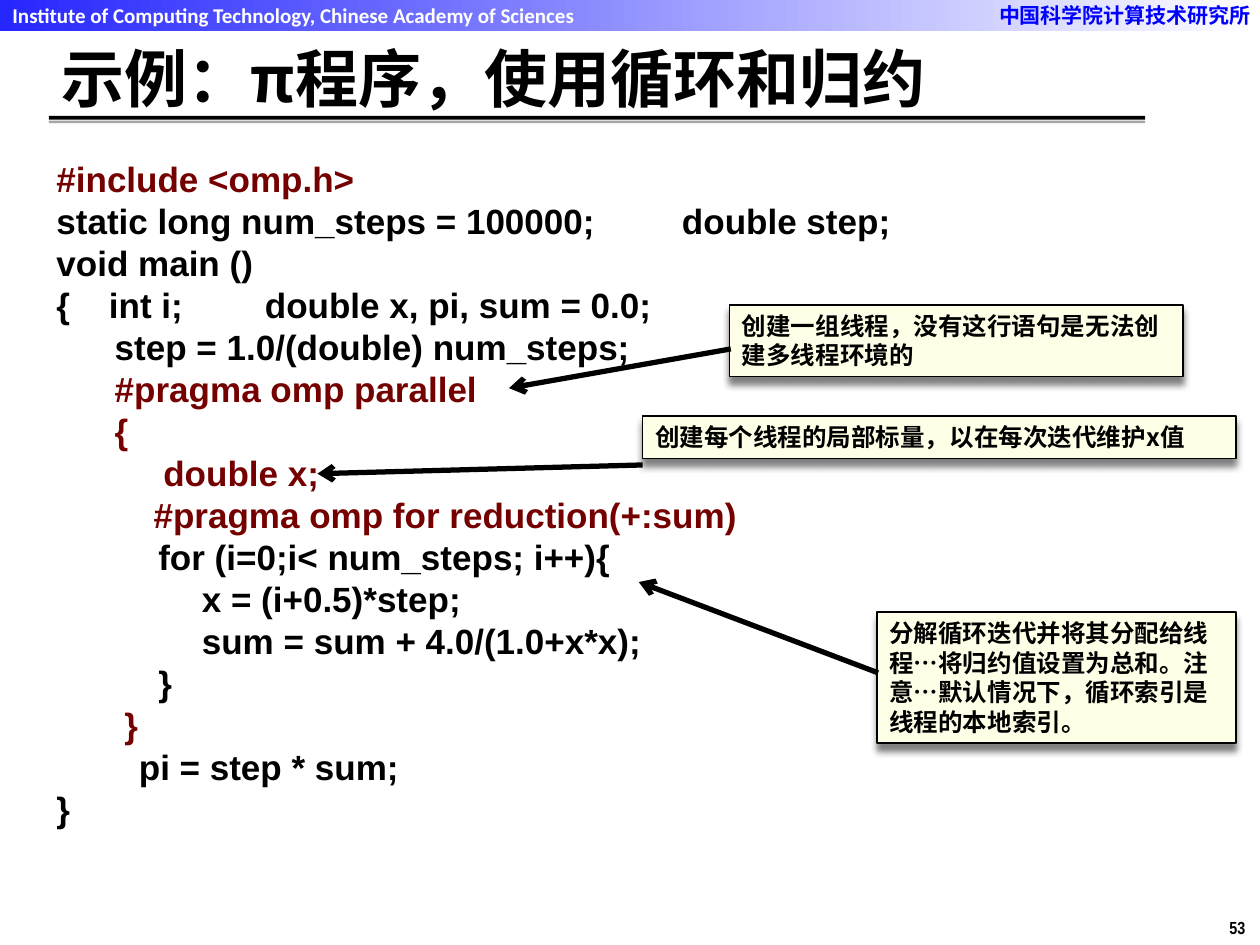
import pptx
import pptx.util
import pptx.dml.color
import pptx.enum.shapes
import pptx.enum.text
import pptx.oxml
import pptx.oxml.ns
import lxml.etree

Pt = pptx.util.Pt
RGB = pptx.dml.color.RGBColor
RECT = pptx.enum.shapes.MSO_SHAPE.RECTANGLE
LINE = pptx.enum.shapes.MSO_CONNECTOR.STRAIGHT
ANCHOR = pptx.enum.text.MSO_ANCHOR
LEFT = pptx.enum.text.PP_ALIGN.LEFT
qn = pptx.oxml.ns.qn

BLACK = RGB(0, 0, 0)
WHITE = RGB(255, 255, 255)
BLUE = RGB(0, 0, 255)
PALE = RGB(0x26, 0x26, 0xFF)
GRAY = RGB(0xA6, 0xA6, 0xA6)
CREAM = RGB(0xFF, 0xFF, 0xE7)
RED = RGB(0x74, 0, 0)
HAN = "Noto Sans CJK SC"


def write(para, text, face, size, color, lead=None):
    """Fill one paragraph with a single bold run."""
    run = para.add_run()
    run.text = text
    look = {"name": face, "size": Pt(size), "bold": True}
    for key, val in look.items():
        setattr(run.font, key, val)
    run.font.color.rgb = color
    ea = lxml.etree.SubElement(run._r.get_or_add_rPr(), qn("a:ea"))
    ea.set("typeface", HAN)
    form = {"alignment": LEFT, "line_spacing": Pt(lead) if lead else 1.0}
    for key, val in form.items():
        setattr(para, key, val)


def block(left, top, width, height, color):
    """Add a plain filled rectangle."""
    rect = page.shapes.add_shape(RECT, Pt(left), Pt(top), Pt(width), Pt(height))
    rect.shadow.inherit = False
    rect.fill.solid()
    rect.fill.fore_color.rgb = color
    rect.line.fill.background()
    return rect


deck = pptx.Presentation()
deck.slide_width, deck.slide_height = Pt(720), Pt(540)
page = deck.slides.add_slide(deck.slide_layouts[5])

# Header band and title rules
band = block(0, 0, 720, 18, BLUE)
band.fill.gradient()
band.fill.gradient_angle = 0
for stop, color in zip(band.fill.gradient_stops, (PALE, WHITE)):
    stop.color.rgb = color
block(28, 66.2, 626.4, 2.2, BLACK)
block(28, 69, 626.4, 1.4, GRAY)

# Header and page number
labels = [
    ("中国科学院计算技术研究所", (563.8, -2.2, 161.3, 21.6), HAN, 12, BLUE, 14.4, True),
    ("Institute of Computing Technology, Chinese Academy of Sciences",
     (0, -2.2, 342, 35.3), "Calibri", 12, WHITE, None, True),
    ("53", (695.5, 520.6, 26.6, 18), "Arial Narrow", 10, BLACK, None, False),
]
for text, spot, face, size, color, lead, wrap in labels:
    box = page.shapes.add_textbox(*map(Pt, spot))
    box.text_frame.word_wrap = wrap
    write(box.text_frame.paragraphs[0], text, face, size, color, lead)

# Title
title = page.shapes.title
spot = {"left": 28, "top": 23.8, "width": 625, "height": 40.3}
for key, val in spot.items():
    setattr(title, key, Pt(val))
title.text_frame.vertical_anchor = ANCHOR.MIDDLE
write(title.text_frame.paragraphs[0], "示例：π程序，使用循环和归约", HAN, 36, BLACK)

# Program listing
code = [
    ("#include <omp.h>", RED),
    ("static long num_steps = 100000;         double step;", BLACK),
    ("void main ()", BLACK),
    ("{    int i; \t  double x, pi, sum = 0.0;", BLACK),
    ("      step = 1.0/(double) num_steps;", BLACK),
    ("      #pragma omp parallel", RED),
    ("      {", RED),
    ("           double x;", RED),
    ("          #pragma omp for reduction(+:sum)", RED),
    ("\t    for (i=0;i< num_steps; i++){", BLACK),
    ("\t\t  x = (i+0.5)*step;", BLACK),
    ("\t\t  sum = sum + 4.0/(1.0+x*x);", BLACK),
    ("\t    }", BLACK),
    ("       }", RED),
    ("\t  pi = step * sum;", BLACK),
    ("}", BLACK),
]
box = page.shapes.add_textbox(Pt(25.2), Pt(86.4), Pt(659.5), Pt(395.3))
box.text_frame.word_wrap = True
for row, (text, color) in enumerate(code):
    frame = box.text_frame
    para = frame.add_paragraph() if row else frame.paragraphs[0]
    write(para, text, "Arial", 20, color, 24)

# Callouts, each with an arrow to its line of code
SHADE = (
    '<a:outerShdw xmlns:a="http://schemas.openxmlformats.org/drawingml/2006/main" '
    'blurRad="50800" dist="50800" dir="5400000" algn="t" rotWithShape="0">'
    '<a:srgbClr val="808080"/></a:outerShdw>'
)
notes = [
    ("创建每个线程的局部标量，以在每次迭代维护x值",
     (367.2, 237.6, 339.1, 24.5), (367.2, 265.7, 181.4, 270.7)),
    ("创建一组线程，没有这行语句是无法创建多线程环境的",
     (416.9, 174.2, 259.2, 41), (417.6, 199.4, 290.9, 221.8)),
    ("分解循环迭代并将其分配给线程…将归约值设置为总和。注意…默认情况下，循环索引是线程的本地索引。",
     (501.1, 349.9, 205.2, 74.9), (501.8, 384.5, 365, 332.6)),
]
for text, spot, ends in notes:
    note = block(*spot, CREAM)
    note.line.color.rgb = BLACK
    note.line.width = Pt(1)
    effect = note._element.spPr.find(qn("a:effectLst"))
    effect.append(pptx.oxml.parse_xml(SHADE))
    note.text_frame.word_wrap = True
    note.text_frame.vertical_anchor = ANCHOR.TOP
    write(note.text_frame.paragraphs[0], text, HAN, 14, BLACK, 16.8)

    arrow = page.shapes.add_connector(LINE, *map(Pt, ends))
    arrow.line.color.rgb = BLACK
    arrow.line.width = Pt(3)
    tip = lxml.etree.SubElement(arrow.line._get_or_add_ln(), qn("a:tailEnd"))
    tip.set("type", "arrow")
    lxml.etree.SubElement(arrow._element.spPr, qn("a:effectLst"))

deck.save("out.pptx")
